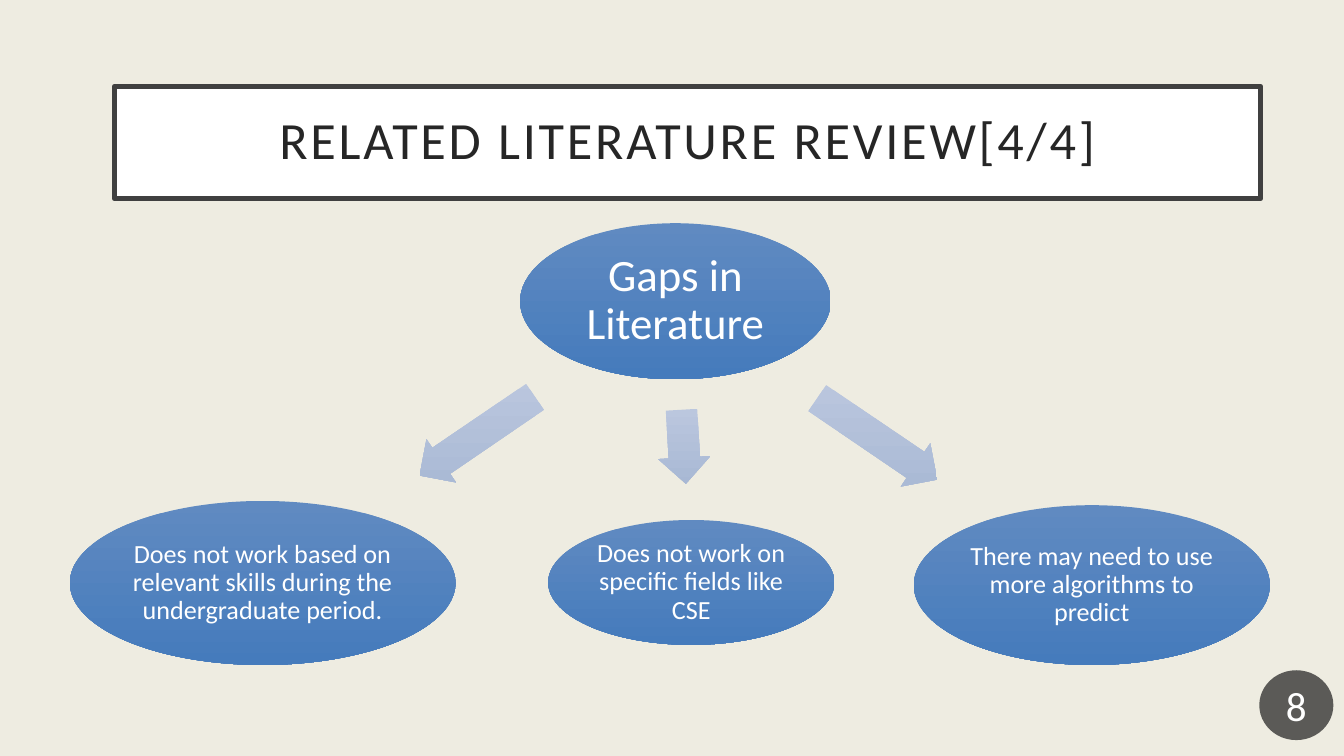
"""Build the slide that sums up the gaps in the literature."""
from lxml.etree import SubElement
from pptx import Presentation
from pptx.dml.color import RGBColor
from pptx.enum.shapes import MSO_SHAPE
from pptx.enum.text import MSO_ANCHOR, PP_ALIGN
from pptx.oxml.ns import qn
from pptx.util import Cm, Pt

BACKGROUND = "EEECE1"
BLUE = ("608AC1", "457BBC")
PALE_BLUE = ("BBC7DE", "A8B8D4")
FONT = "Calibri"

TITLE = ("RELATED LITERATURE REVIEW[4/4]", (2.16, 1.63, 21.67, 2.13))
BUBBLES = [
    ("Gaps in Literature", (9.83, 4.22, 5.87, 2.95), 24),
    ("Does not work based on relevant skills during the undergraduate period.",
     (1.32, 9.47, 7.29, 3.1), 14),
    ("Does not work on specific fields like CSE", (10.36, 9.83, 5.41, 2.36), 14),
    ("There may need to use more algorithms to predict", (17.27, 9.55, 6.73, 3.02), 14),
]
ARROWS = [
    ((7.7, 7.75, 2.64, 0.99), 145.7),
    ((12.22, 7.95, 1.4, 0.99), 86.6),
    ((15.21, 7.8, 2.74, 0.99), 34.2),
]
PAGE_NUMBER = ("8", (23.8, 12.67, 1.4, 1.32))


def color(value):
    return RGBColor.from_string(value)


def add_shape(page, kind, place):
    shape = page.shapes.add_shape(kind, *map(Cm, place))
    shape.shadow.inherit = False
    shape.line.fill.background()
    return shape


def fill_solid(shape, value):
    shape.fill.solid()
    shape.fill.fore_color.rgb = color(value)


def fill_gradient(shape, values):
    shape.fill.gradient()
    shape.fill.gradient_angle = 270
    for stop, value in zip(shape.fill.gradient_stops, values):
        stop.color.rgb = color(value)
    shape.element.spPr.find(qn("a:gradFill")).set("rotWithShape", "0")


def write(shape, text, size, value="FFFFFF", inset=0.05, spacing=0.9):
    frame = shape.text_frame
    layout = {"word_wrap": True, "vertical_anchor": MSO_ANCHOR.MIDDLE}
    layout.update({f"margin_{side}": Cm(inset) for side in ("left", "top", "right", "bottom")})
    for name, setting in layout.items():
        setattr(frame, name, setting)
    para = frame.paragraphs[0]
    para.alignment = PP_ALIGN.CENTER
    para.line_spacing = spacing
    span = para.add_run()
    span.text = text
    for name, setting in {"name": FONT, "size": Pt(size)}.items():
        setattr(span.font, name, setting)
    span.font.color.rgb = color(value)
    return span


def add_title(page):
    text, place = TITLE
    box = add_shape(page, MSO_SHAPE.RECTANGLE, place)
    fill_solid(box, "FFFFFF")
    box.line.color.rgb = color("404040")
    box.line.width = Pt(2.5)
    span = write(box, text, 28, "262626", inset=0.5)
    span.font._element.set("spc", "150")


def add_diagram(page):
    for text, place, size in BUBBLES:
        bubble = add_shape(page, MSO_SHAPE.OVAL, place)
        fill_gradient(bubble, BLUE)
        write(bubble, text, size)
    for place, rotation in ARROWS:
        arrow = add_shape(page, MSO_SHAPE.RIGHT_ARROW, place)
        arrow.adjustments[0], arrow.adjustments[1] = 0.6, 0.5
        arrow.rotation = rotation
        fill_gradient(arrow, PALE_BLUE)


def add_page_number(page):
    text, place = PAGE_NUMBER
    badge = add_shape(page, MSO_SHAPE.OVAL, place)
    fill_solid(badge, "1D1D1D")
    tone = badge.element.spPr.find(qn("a:solidFill")).find(qn("a:srgbClr"))
    SubElement(tone, qn("a:alpha")).set("val", "70000")
    write(badge, text, 22, spacing=1.0)


def main():
    deck = Presentation()
    deck.slide_width, deck.slide_height = Cm(25.4), Cm(14.29)
    page = deck.slides.add_slide(deck.slide_layouts[6])
    fill_solid(page.background, BACKGROUND)
    add_title(page)
    add_diagram(page)
    add_page_number(page)
    deck.save("out.pptx")


if __name__ == "__main__":
    main()
